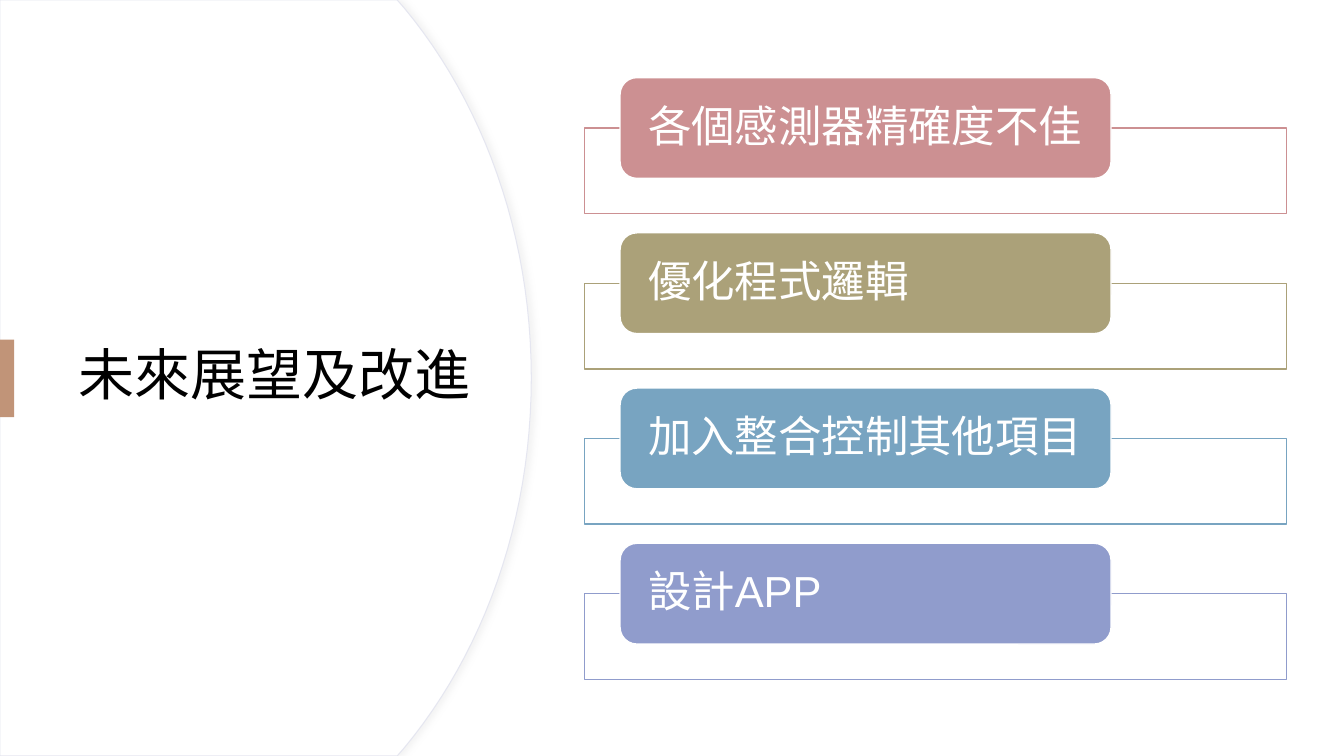
from lxml import etree
from pptx import Presentation
from pptx.dml.color import RGBColor
from pptx.enum.shapes import MSO_SHAPE
from pptx.enum.text import MSO_ANCHOR, PP_ALIGN
from pptx.oxml.ns import qn
from pptx.util import Inches, Pt

RECTANGLE = MSO_SHAPE.RECTANGLE
ROUNDED = MSO_SHAPE.ROUNDED_RECTANGLE
MIDDLE = MSO_ANCHOR.MIDDLE
LEFT = PP_ALIGN.LEFT

WHITE = "FFFFFF"
ITEMS = [
    ("各個感測器精確度不佳", "CC9092"),
    ("優化程式邏輯", "ABA179"),
    ("加入整合控制其他項目", "78A4C1"),
    ("設計APP", "909CCC"),
]
FIRST_TOP, ROW_STEP = 0.77, 1.54


def paint(shape, fill, line=None, width=1):
    shape.shadow.inherit = False
    shape.fill.solid()
    shape.fill.fore_color.rgb = RGBColor.from_string(fill)
    if line:
        shape.line.color.rgb = RGBColor.from_string(line)
        shape.line.width = Pt(width)
    else:
        shape.line.fill.background()


def write(shape, text, size, color, inset, space_after=0):
    frame = shape.text_frame
    frame_format = {
        "word_wrap": True, "vertical_anchor": MIDDLE,
        "margin_left": Inches(inset), "margin_right": Inches(inset),
        "margin_top": Inches(0.05), "margin_bottom": Inches(0.05),
    }
    para = frame.paragraphs[0]
    para_format = {"alignment": LEFT, "line_spacing": 0.9, "space_after": Pt(space_after)}
    span = para.add_run()
    span.text = text
    span_format = {"name": "Arial", "size": Pt(size)}
    for target, values in ((frame, frame_format), (para, para_format), (span.font, span_format)):
        for name, value in values.items():
            setattr(target, name, value)
    span.font.color.rgb = RGBColor.from_string(color)


deck = Presentation()
deck.slide_width, deck.slide_height = Inches(13.33), Inches(7.5)
page = deck.slides.add_slide(deck.slide_layouts[6])
shapes = page.shapes

# Left panel with a curved right edge, mirrored about the middle of the slide
upper_curve = [(4.01, 0.08), (4.79, 1.02), (5.27, 2.32), (5.27, 3.75)]
upper_edge = [(3.94, 0)]
for step in range(25):
    t = step / 24
    weights = ((1 - t) ** 3, 3 * t * (1 - t) ** 2, 3 * t ** 2 * (1 - t), t ** 3)
    upper_edge.append(tuple(
        sum(weight * point[axis] for weight, point in zip(weights, upper_curve))
        for axis in (0, 1)))
lower_edge = [(x, 7.5 - y) for x, y in reversed(upper_edge[:-1])]
outline = [(Inches(x), Inches(y)) for x, y in upper_edge + lower_edge + [(0, 7.5)]]
builder = shapes.build_freeform(0, 0)
builder.add_line_segments(outline, close=True)
panel = builder.convert_to_shape()
paint(panel, WHITE, "E5E6F0", 0.75)

# Soft shadow to the right of the panel
effects = panel.element.spPr.find(qn("a:effectLst"))
shadow = etree.SubElement(effects, qn("a:outerShdw"), blurRad=str(Pt(4)), dist=str(Pt(3)), dir="0")
shadow_color = etree.SubElement(shadow, qn("a:srgbClr"), val="D9D9D9")
etree.SubElement(shadow_color, qn("a:alpha"), val="30000")

# Title and accent bar
title = shapes.add_textbox(Inches(0.68), Inches(1.27), Inches(4.59), Inches(4.95))
write(title, "未來展望及改進", 40, "000000", 0.1)
accent = shapes.add_shape(RECTANGLE, 0, Inches(3.37), Inches(0.14), Inches(0.77))
paint(accent, "C19478")

# Items: an outlined frame with a rounded label over its top edge
for row, (text, color) in enumerate(ITEMS):
    top = FIRST_TOP + row * ROW_STEP
    item_frame = shapes.add_shape(
        RECTANGLE, Inches(5.8), Inches(top + 0.5), Inches(6.96), Inches(0.85))
    paint(item_frame, WHITE, color)
    label = shapes.add_shape(ROUNDED, Inches(6.15), Inches(top), Inches(4.87), Inches(1))
    paint(label, color, WHITE)
    write(label, text, 31, WHITE, 0.18 + 0.05, 11)

deck.save("out.pptx")
